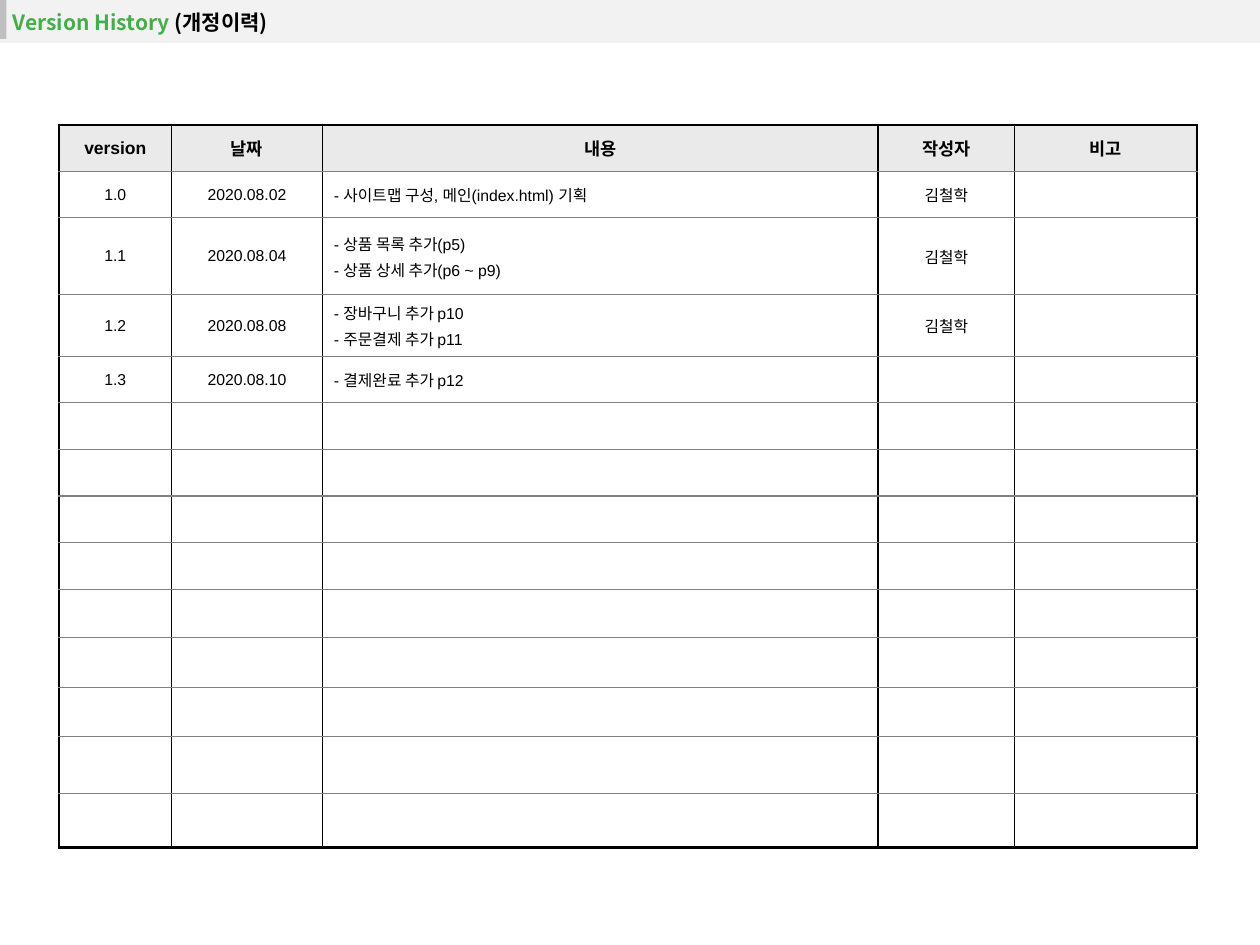
from lxml import etree
from pptx import Presentation
from pptx.dml.color import RGBColor
from pptx.enum.shapes import MSO_SHAPE
from pptx.enum.text import MSO_ANCHOR, PP_ALIGN
from pptx.oxml.ns import qn
from pptx.util import Inches, Pt

RECTANGLE = MSO_SHAPE.RECTANGLE
MIDDLE = MSO_ANCHOR.MIDDLE
LEFT, CENTER = PP_ALIGN.LEFT, PP_ALIGN.CENTER
BLACK = RGBColor(0x00, 0x00, 0x00)
GRAY = RGBColor(0x80, 0x80, 0x80)
GREEN = RGBColor(0x45, 0xAD, 0x4A)
HEADER_FILL = RGBColor(0xEA, 0xEA, 0xEA)
TITLE_FILL = RGBColor(0xF2, 0xF2, 0xF2)
MARKER_FILL = RGBColor(0xBF, 0xBF, 0xBF)
LATIN_FONT, KOREAN_FONT = "Arial", "Noto Sans CJK KR"

COLUMN_WIDTHS = [0.89, 1.2, 4.41, 1.08, 1.45]
ROW_HEIGHTS = [0.37, 0.37, 0.61, 0.38] + [0.37] * 5 + [0.38, 0.4, 0.39, 0.45, 0.43]
TITLE_HEIGHT = 0.31
CONTENT_COLUMN = 2
HISTORY = [
    ["version", "날짜", "내용", "작성자", "비고"],
    ["1.0", "2020.08.02", "- 사이트맵 구성, 메인(index.html) 기획", "김철학", ""],
    ["1.1", "2020.08.04", "- 상품 목록 추가(p5)\n- 상품 상세 추가(p6 ~ p9)", "김철학", ""],
    ["1.2", "2020.08.08", "- 장바구니 추가 p10\n- 주문결제 추가 p11", "김철학", ""],
    ["1.3", "2020.08.10", "- 결제완료 추가 p12", "", ""],
]


def add_borders(cell, edges):
    properties = cell._tc.get_or_add_tcPr()
    for side, (color, width) in zip("LRTB", edges):
        line = etree.SubElement(properties, qn(f"a:ln{side}"), w=str(Pt(width)))
        if color is None:
            etree.SubElement(line, qn("a:noFill"))
        else:
            fill = etree.SubElement(line, qn("a:solidFill"))
            etree.SubElement(fill, qn("a:srgbClr"), val=str(color))


def format_span(span, latin, size, bold, color):
    span.font.name = latin
    span.font.size = Pt(size)
    span.font.bold = bold
    span.font.color.rgb = color
    etree.SubElement(span.font._element, qn("a:ea"), typeface=KOREAN_FONT)


deck = Presentation()
deck.slide_width, deck.slide_height = Inches(10), Inches(7.5)
page = deck.slides.add_slide(deck.slide_layouts[6])

history = page.shapes.add_table(
    len(ROW_HEIGHTS), len(COLUMN_WIDTHS), Inches(0.47), Inches(0.99),
    Inches(sum(COLUMN_WIDTHS)), Inches(sum(ROW_HEIGHTS))).table
history.first_row = history.horz_banding = False
for column, width in zip(history.columns, COLUMN_WIDTHS):
    column.width = Inches(width)
last_row, last_column = len(ROW_HEIGHTS) - 1, len(COLUMN_WIDTHS) - 1
outer, inner, rule = (BLACK, 1.5), (BLACK, 1), (GRAY, 0.75)

for r, height in enumerate(ROW_HEIGHTS):
    history.rows[r].height = Inches(height)
    for c in range(len(COLUMN_WIDTHS)):
        cell = history.cell(r, c)
        add_borders(cell, [
            outer if c == 0 else inner,
            outer if c == last_column else inner,
            outer if r == 0 else rule,
            outer if r == last_row else rule,
        ])
        if r == 0:
            cell.fill.solid()
            cell.fill.fore_color.rgb = HEADER_FILL
        else:
            cell.fill.background()
        cell.vertical_anchor = MIDDLE
        cell.margin_left = cell.margin_right = Inches(0.09)
        cell.text_frame.text = HISTORY[r][c] if r < len(HISTORY) else ""
        size = 10 if r == 0 else 9
        for para in cell.text_frame.paragraphs:
            para.alignment = LEFT if r and c == CONTENT_COLUMN else CENTER
            para.space_before = Pt(0.2 * size)
            for span in para.runs:
                format_span(span, LATIN_FONT, size, r == 0, BLACK)
            if not para.runs:
                etree.SubElement(para._p, qn("a:endParaRPr"), sz=str(size * 100))

title = page.shapes.add_table(1, 1, 0, 0, deck.slide_width, Inches(TITLE_HEIGHT)).table
title.first_row = title.horz_banding = False
title_cell = title.cell(0, 0)
add_borders(title_cell, [(None, 0)] * 4)
title_cell.fill.solid()
title_cell.fill.fore_color.rgb = TITLE_FILL
title_cell.vertical_anchor = MIDDLE
para = title_cell.text_frame.paragraphs[0]
for words, color in [("Version History ", GREEN), ("(개정이력)", BLACK)]:
    span = para.add_run()
    span.text = words
    format_span(span, KOREAN_FONT, 12, True, color)

marker = page.shapes.add_shape(RECTANGLE, 0, 0, Inches(0.05), Inches(TITLE_HEIGHT))
marker.shadow.inherit = False
marker.fill.solid()
marker.fill.fore_color.rgb = MARKER_FILL
marker.line.fill.background()

deck.save("out.pptx")
